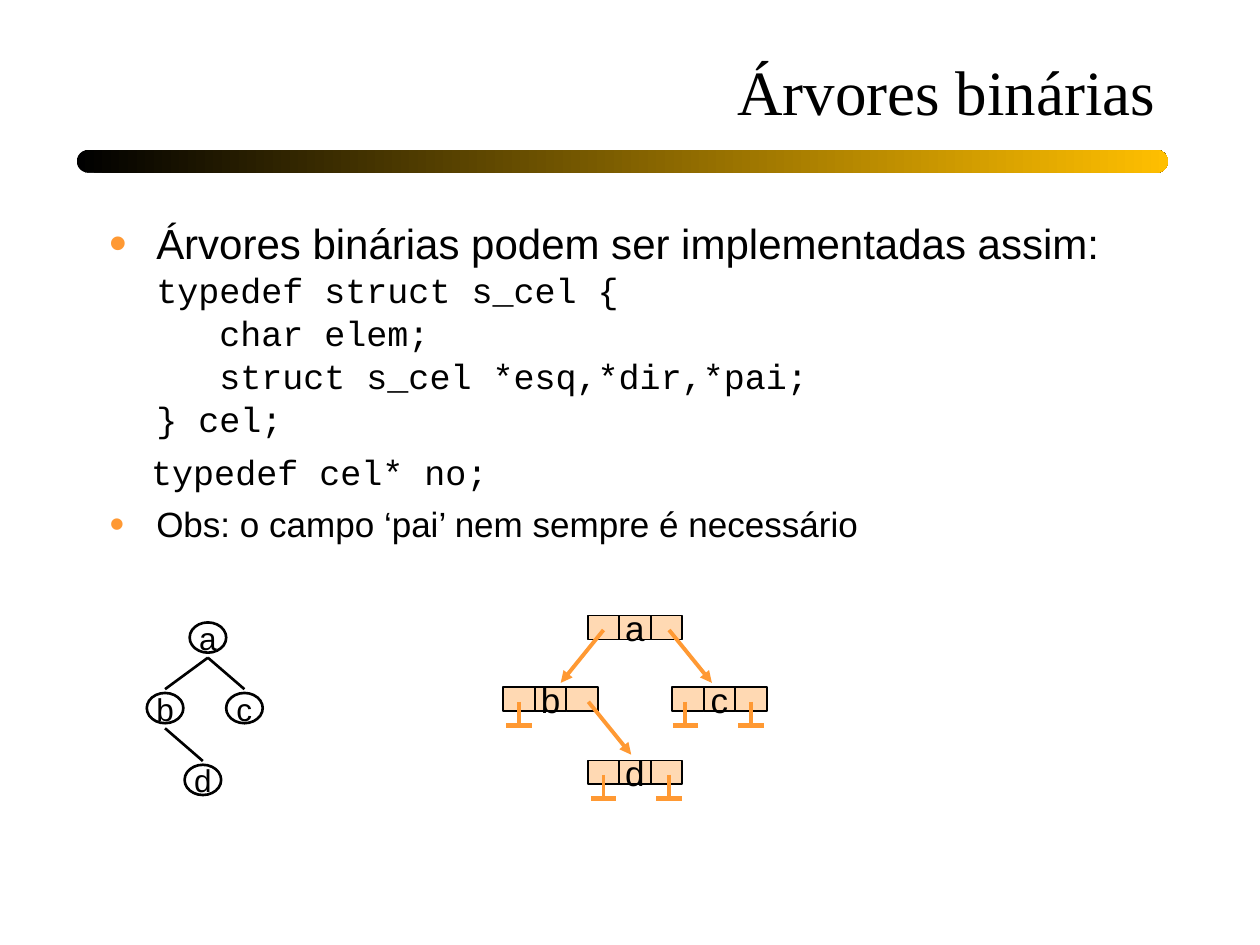
from dataclasses import dataclass

from lxml.etree import SubElement
from pptx import Presentation
from pptx.dml.color import RGBColor
from pptx.enum.shapes import MSO_CONNECTOR, MSO_SHAPE
from pptx.enum.text import MSO_ANCHOR, PP_ALIGN
from pptx.oxml.ns import qn
from pptx.util import Inches, Pt


@dataclass(frozen=True)
class Theme:
    ink: RGBColor = RGBColor(0x00, 0x00, 0x00)
    gold: RGBColor = RGBColor(0xFF, 0xBF, 0x00)
    accent: RGBColor = RGBColor(0xFF, 0x99, 0x33)
    cell: RGBColor = RGBColor(0xFF, 0xD9, 0xB3)
    heading_font: str = "Times New Roman"
    body_font: str = "Arial"
    code_font: str = "Courier New"
    title: int = 36
    lead: int = 24
    text: int = 20
    node: int = 18
    spacing: float = 1.02


THEME = Theme()
HANG = 0.37
CODE = ["typedef struct s_cel {", "   char elem;",
        "   struct s_cel *esq,*dir,*pai;", "} cel;"]

# Plain tree: centre of each node, then parent-child edges
TREE_ROWS = [5.06, 5.62, 6.19]
TREE_NODES = {"a": (1.65, 0), "b": (1.31, 1), "c": (1.94, 1), "d": (1.61, 2)}
TREE_EDGES = ["ab", "ac", "bd"]

# Linked cells: centre of each record, arrows (start x, end x, row), null links (x, row)
LINK_ROWS = [4.98, 5.55, 6.13]
RECORDS = {"a": (5.04, 0), "b": (4.37, 1), "c": (5.71, 1), "d": (5.04, 2)}
POINTERS = [(4.79, 4.45, 0), (5.31, 5.65, 0), (4.67, 5.01, 1)]
NULL_LINKS = [(5.96, 1), (5.44, 1), (4.12, 1), (4.79, 2), (5.31, 2)]
CELL_WIDTH, CELL_HEIGHT = 0.25, 0.19


def place(shape, left, top, width, height):
    shape.left, shape.top = Inches(left), Inches(top)
    shape.width, shape.height = Inches(width), Inches(height)


def add_span(para, text, font, size):
    span = para.add_run()
    span.text = text
    span.font.name, span.font.size = font, Pt(size)
    span.font.color.rgb = THEME.ink


def set_paragraph(para, before=0, margin=0, indent=0, bullet=False):
    para.line_spacing = THEME.spacing
    para.space_before = Pt(before)
    props = para._p.get_or_add_pPr()
    props.set("marL", str(Inches(margin)))
    props.set("indent", str(Inches(indent)))
    if bullet:
        color = SubElement(props, qn("a:buClr"))
        SubElement(color, qn("a:srgbClr"), val=str(THEME.accent))
        SubElement(props, qn("a:buSzPct"), val="120000")
        SubElement(props, qn("a:buChar"), char="•")
    else:
        SubElement(props, qn("a:buNone"))


def add_preset(page, kind, left, top, width, height, fill=None, weight=None):
    shape = page.shapes.add_shape(kind, 0, 0, 0, 0)
    place(shape, left, top, width, height)
    shape.shadow.inherit = False
    if fill is None:
        shape.fill.background()
    else:
        shape.fill.solid()
        shape.fill.fore_color.rgb = fill
    if weight is None:
        shape.line.fill.background()
    else:
        shape.line.color.rgb = THEME.ink
        shape.line.width = Pt(weight)
    return shape


def add_line(page, start, end, color, weight, arrow=False):
    points = [Inches(value) for value in (*start, *end)]
    line = page.shapes.add_connector(MSO_CONNECTOR.STRAIGHT, *points)
    line.line.color.rgb = color
    line.line.width = Pt(weight)
    if arrow:
        SubElement(line.line._get_or_add_ln(), qn("a:tailEnd"), type="triangle")
    SubElement(line._element.spPr, qn("a:effectLst"))


def add_letter(page, letter, x, y, size):
    """Centre one letter on the point x, y."""
    box = page.shapes.add_textbox(0, 0, 0, 0)
    place(box, x - 0.08, y - 0.17, 0.16, 0.34)
    frame = box.text_frame
    frame.margin_left = frame.margin_right = frame.margin_top = frame.margin_bottom = 0
    frame.vertical_anchor = MSO_ANCHOR.MIDDLE
    frame.word_wrap = False
    para = frame.paragraphs[0]
    para.alignment = PP_ALIGN.CENTER
    para.line_spacing = THEME.spacing
    add_span(para, letter, THEME.body_font, size)


def add_title_bar(page):
    bar = add_preset(page, MSO_SHAPE.ROUNDED_RECTANGLE, 0.61, 1.19, 8.66, 0.18)
    bar.adjustments[0] = 0.5
    bar.fill.gradient()
    bar.fill.gradient_angle = 0
    for stop, color in zip(bar.fill.gradient_stops, (THEME.ink, THEME.gold)):
        stop.color.rgb = color


def fill_title(title):
    place(title, 0.77, 0.15, 8.5, 0.92)
    title.text_frame.vertical_anchor = MSO_ANCHOR.BOTTOM
    para = title.text_frame.paragraphs[0]
    para.alignment = PP_ALIGN.RIGHT
    para.line_spacing = THEME.spacing
    add_span(para, "Árvores binárias", THEME.heading_font, THEME.title)


def fill_body(body):
    place(body, 0.77, 1.67, 8.5, 5.25)
    frame = body.text_frame
    lead = frame.paragraphs[0]
    set_paragraph(lead, 4.6, HANG, -HANG, bullet=True)
    add_span(lead, "Árvores binárias podem ser implementadas assim:",
             THEME.body_font, THEME.lead)
    for code_line in CODE:
        lead.add_line_break()
        add_span(lead, code_line, THEME.code_font, THEME.text)

    alias = frame.add_paragraph()
    set_paragraph(alias, 5.6, margin=0.33)
    add_span(alias, "typedef cel* no;", THEME.code_font, THEME.text)

    remark = frame.add_paragraph()
    set_paragraph(remark, 5.6, HANG, -HANG, bullet=True)
    add_span(remark, "Obs: o campo ‘pai’ nem sempre é necessário",
             THEME.body_font, THEME.text)


def draw_tree(page):
    for letter, (x, row) in TREE_NODES.items():
        y = TREE_ROWS[row]
        add_preset(page, MSO_SHAPE.OVAL, x - 0.145, y - 0.12, 0.29, 0.24, weight=1.5)
        add_letter(page, letter, x, y, THEME.node)
    for parent, child in TREE_EDGES:
        (x1, row1), (x2, row2) = TREE_NODES[parent], TREE_NODES[child]
        add_line(page, (x1, TREE_ROWS[row1] + 0.16), (x2, TREE_ROWS[row2] - 0.15),
                 THEME.ink, 1.5)


def draw_linked_cells(page):
    for letter, (x, row) in RECORDS.items():
        y = LINK_ROWS[row]
        for column in (1, -1, 0):
            add_preset(page, MSO_SHAPE.RECTANGLE,
                       x + (column - 0.5) * CELL_WIDTH, y - CELL_HEIGHT / 2,
                       CELL_WIDTH, CELL_HEIGHT, THEME.cell, 1)
        add_letter(page, letter, x, y, THEME.text)
    for x1, x2, row in POINTERS:
        y = LINK_ROWS[row] + 0.02
        add_line(page, (x1, y), (x2, y + 0.42), THEME.accent, 2.25, arrow=True)
    for x, row in NULL_LINKS:
        top = LINK_ROWS[row] + 0.02
        foot = top + 0.19
        add_line(page, (x, top), (x, foot), THEME.accent, 2.25)
        add_line(page, (x - 0.1, foot), (x + 0.1, foot), THEME.accent, 3)


def main():
    deck = Presentation()
    deck.slide_width, deck.slide_height = Inches(10), Inches(7.5)
    page = deck.slides.add_slide(deck.slide_layouts[1])
    add_title_bar(page)
    fill_title(page.shapes.title)
    fill_body(page.placeholders[1])
    draw_tree(page)
    draw_linked_cells(page)
    deck.save("out.pptx")


if __name__ == "__main__":
    main()
